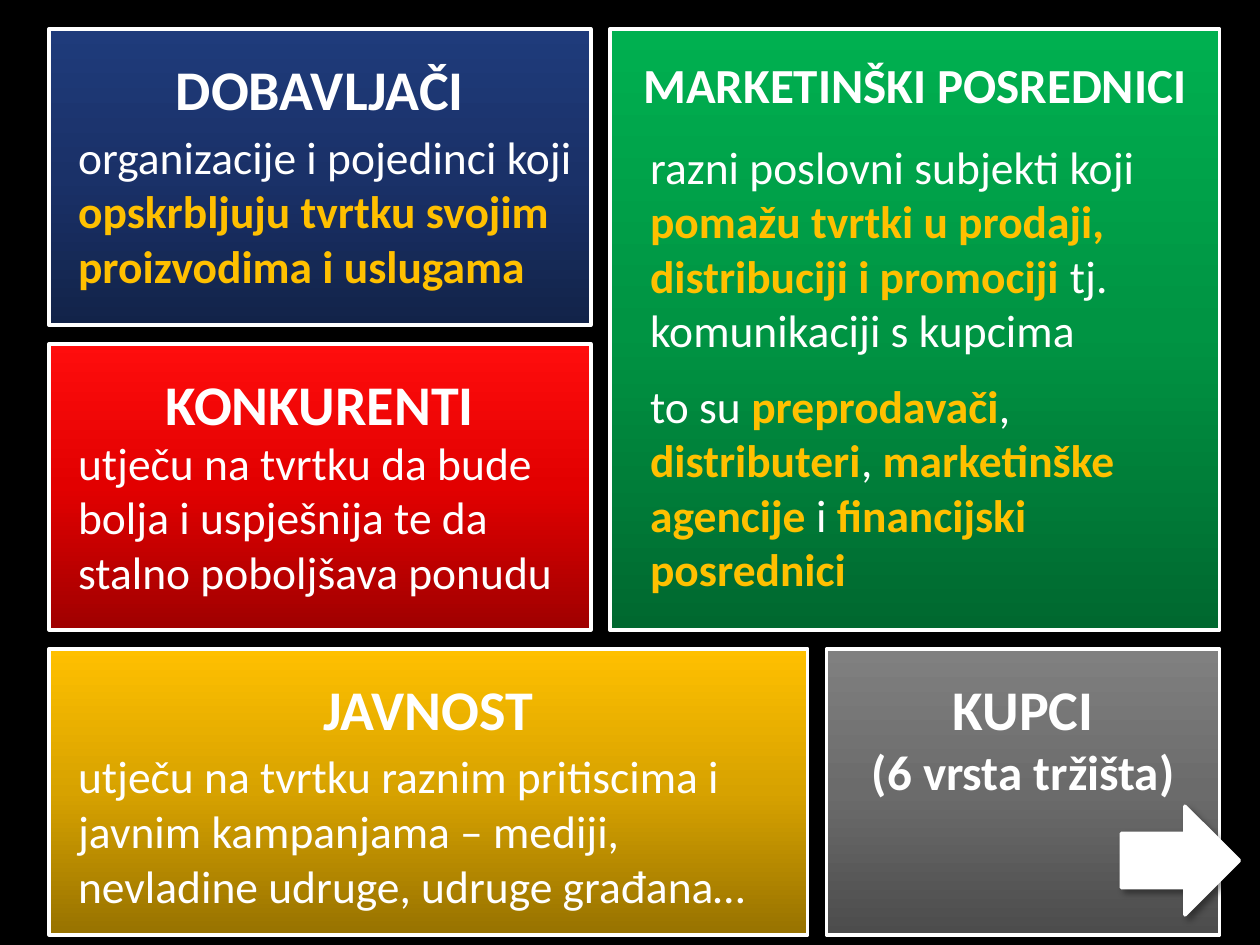
from copy import deepcopy
from lxml.etree import SubElement
from pptx import Presentation
from pptx.dml.color import RGBColor
from pptx.enum.shapes import MSO_SHAPE as Preset
from pptx.enum.text import MSO_ANCHOR as Anchor, PP_ALIGN as Align
from pptx.oxml.ns import qn
from pptx.util import Inches, Pt

COLORS = {
    "background": "000000", "white": "FFFFFF", "accent": "FFC000",
    "blue": ("122349", "1A3168", "1F3B7B"),
    "green": ("00682F", "009443", "00B050"),
    "red": ("9F0000", "E20000", "FF0D0D"),
    "gold": ("977200", "D7A200", "FFC000"),
    "gray": ("4C4C4C", "6B6B6B", "808080"),
}
FONT = "Calibri"
GAP = 0.15
COLUMNS = (4.3, 1.57, 3.12)
ROWS = (2.35, 2.27, 2.27)
ORIGIN = (0.39, 0.23)
LINE_HEIGHT = 0.44


def color(name):
    """Return the palette colour of that name."""
    return RGBColor.from_string(COLORS[name])


def track(sizes, origin, first, count):
    """Return start and length of a span of grid tracks."""
    start = origin + sum(sizes[:first]) + GAP * first
    return start, sum(sizes[first:first + count]) + GAP * (count - 1)


def cell(column, row, column_span=1, row_span=1):
    """Return left, top, width and height of a grid area."""
    left, width = track(COLUMNS, ORIGIN[0], column, column_span)
    top, height = track(ROWS, ORIGIN[1], row, row_span)
    return left, top, width, height


def add_outlined(shapes, preset, box):
    """Add a white-outlined shape with a soft drop shadow."""
    shape = shapes.add_shape(preset, *map(Inches, box))
    shape.line.color.rgb = color("white")
    shape.line.width = Pt(2)
    shape.shadow.inherit = False
    effects = shape._element.spPr.find(qn("a:effectLst"))
    shadow = SubElement(effects, qn("a:outerShdw"), blurRad=str(Pt(4)), dist=str(Pt(3)),
                        dir="2700000", rotWithShape="0")
    black = SubElement(shadow, qn("a:srgbClr"), val=COLORS["background"])
    SubElement(black, qn("a:alpha"), val="40000")
    return shape


def fill_gradient(shape, shades):
    """Fill a shape with evenly spaced shades from bottom to top."""
    shape.fill.gradient()
    shape.fill.gradient_angle = 90
    stops = shape._element.spPr.find(qn("a:gradFill")).find(qn("a:gsLst"))
    stops.append(deepcopy(stops[0]))
    for index, (stop, shade) in enumerate(zip(shape.fill.gradient_stops, shades)):
        stop.color.rgb = RGBColor.from_string(shade)
        stop.position = index / 2


def set_frame(frame, top=0, bottom=0):
    """Prepare a wrapping, top-anchored text frame."""
    frame.word_wrap = True
    frame.vertical_anchor = Anchor.TOP
    frame.margin_left = frame.margin_right = 0
    frame.margin_top, frame.margin_bottom = Inches(top), Inches(bottom)


def add_paragraph(frame, index):
    """Return the first paragraph or append another."""
    return frame.add_paragraph() if index else frame.paragraphs[0]


def add_run(paragraph, text, size, name="white", bold=False):
    """Add one formatted run."""
    run = paragraph.add_run()
    run.text = text
    run.font.name, run.font.size, run.font.bold = FONT, Pt(size), bold
    run.font.color.rgb = color(name)


def add_panel(shapes, box, shades, headings):
    """Add a gradient panel with centred headings."""
    panel = add_outlined(shapes, Preset.RECTANGLE, box)
    fill_gradient(panel, COLORS[shades])
    set_frame(panel.text_frame, 0.2, 0.05)
    for index, (text, size) in enumerate(headings):
        paragraph = add_paragraph(panel.text_frame, index)
        paragraph.alignment = Align.CENTER
        add_run(paragraph, text, size, bold=True)


def add_body(shapes, box, offset, width, lines, paragraphs):
    """Add body text inside a panel, with every second run highlighted."""
    left, top = box[0] + offset[0], box[1] + offset[1]
    body = shapes.add_textbox(*map(Inches, (left, top, width, lines * LINE_HEIGHT)))
    set_frame(body.text_frame)
    for index, runs in enumerate(paragraphs):
        paragraph = add_paragraph(body.text_frame, index)
        paragraph.alignment = Align.LEFT
        paragraph.space_before = Pt(12)
        for position, text in enumerate(runs):
            marked = position % 2 == 1
            add_run(paragraph, text, 26, "accent" if marked else "white", marked)


def add_topic(slide, box, shades, heading, *body):
    """Group a panel with its body text."""
    group = slide.shapes.add_group_shape()
    add_panel(group.shapes, box, shades, [heading])
    add_body(group.shapes, box, *body)


def add_customers(slide, box):
    """Add the customers panel with its onward arrow."""
    left, top, width, height = box
    add_panel(slide.shapes, box, "gray", [("KUPCI", 32), ("(6 vrsta tržišta)", 28)])
    arrow_box = (left + 0.75 * width, top + 0.55 * height, 0.3 * width, 0.38 * height)
    arrow = add_outlined(slide.shapes, Preset.RIGHT_ARROW, arrow_box)
    arrow.fill.solid()
    arrow.fill.fore_color.rgb = color("white")


TOPICS = [
    (cell(0, 0), "blue", ("DOBAVLJAČI", 32), (0.23, 0.79), 4.14, 3, [
        ["organizacije i pojedinci koji ", "opskrbljuju tvrtku svojim proizvodima i uslugama "]]),
    (cell(1, 0, 2, 2), "green", ("MARKETINŠKI POSREDNICI", 28), (0.32, 0.87), 4.34, 8.35, [
        ["razni poslovni subjekti koji ", "pomažu tvrtki u prodaji, distribuciji i promociji ",
         "tj. komunikaciji s kupcima "],
        ["to su ", "preprodavači", ", ", "distributeri", ", ", "marketinške agencije ",
         "i ", "financijski posrednici "]]),
    (cell(0, 1), "red", ("KONKURENTI", 32), (0.23, 0.72), 4.14, 3, [
        ["utječu na tvrtku da bude bolja i uspješnija te da stalno poboljšava ponudu"]]),
    (cell(0, 2, 2), "gold", ("JAVNOST", 32), (0.23, 0.79), 5.47, 3, [
        ["utječu na tvrtku raznim pritiscima i javnim kampanjama – mediji, "
         "nevladine udruge, udruge građana…"]]),
]


def build():
    """Build and save the slide."""
    presentation = Presentation()
    presentation.slide_width, presentation.slide_height = Inches(10), Inches(7.5)
    slide = presentation.slides.add_slide(presentation.slide_layouts[6])
    slide.background.fill.solid()
    slide.background.fill.fore_color.rgb = color("background")
    for topic in TOPICS:
        add_topic(slide, *topic)
    add_customers(slide, cell(2, 2))
    presentation.save("out.pptx")


build()
